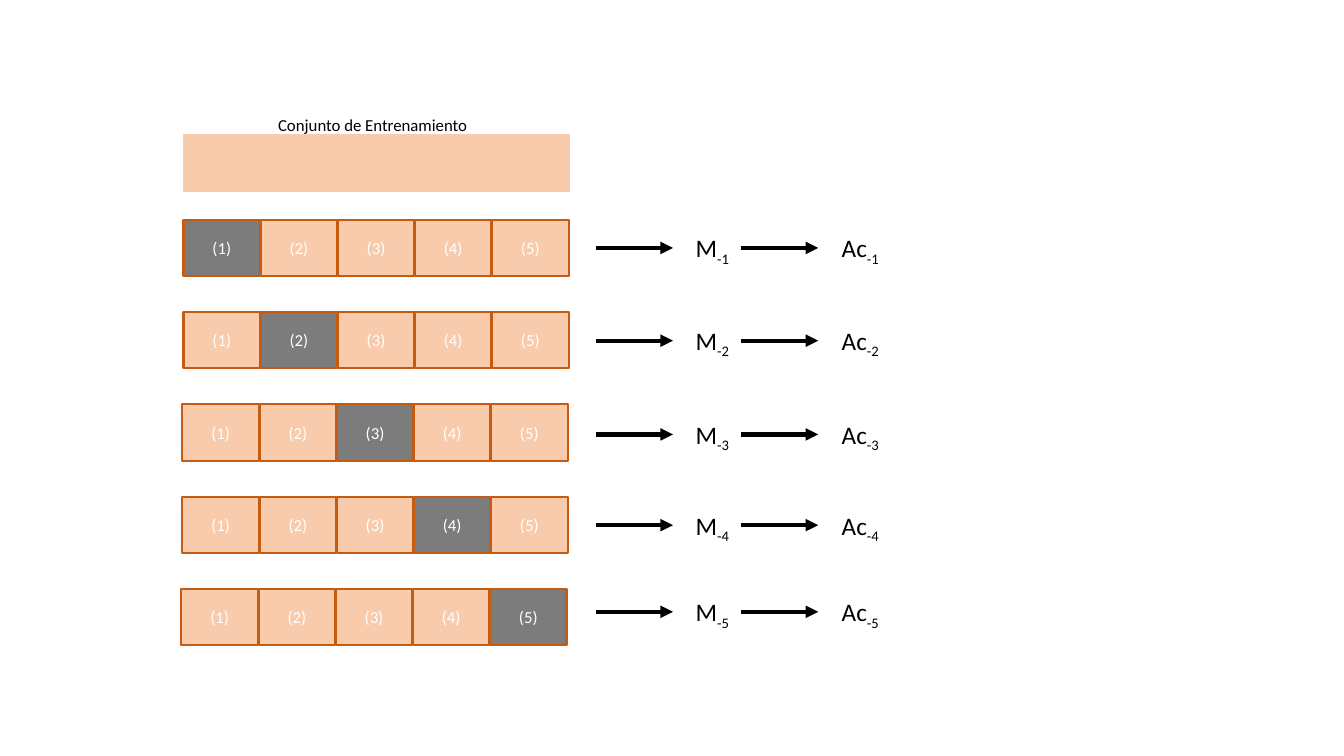
from lxml import etree
from pptx import Presentation, util as u
from pptx.dml.color import RGBColor
from pptx.enum import shapes, text
from pptx.oxml.ns import qn

TITLE = "Conjunto de Entrenamiento"
FOLDS = 5
STEMS = [("M", 5.91, 6.8, 0.55), ("Ac", 7.35, 8.25, 0.59)]
LEFTS = [1.82, 1.82, 1.81, 1.81, 1.8]
MIDS = [2.46, 3.38, 4.31, 5.21, 6.07]
TOP, PITCH = 2.18, 0.916
STEP, WIDE, HIGH = 0.765, 0.76, 0.56
REACH = 0.765

PEACH = RGBColor(0xF8, 0xCB, 0xAD)
GREY = RGBColor(0x7C, 0x7C, 0x7C)
RUST = RGBColor(0xC5, 0x5A, 0x11)
WHITE = RGBColor(0xFF, 0xFF, 0xFF)
BLACK = RGBColor(0, 0, 0)


def style(run, size, color):
    run.font.name = "Calibri"
    run.font.size = u.Pt(size)
    run.font.color.rgb = color


def add_box(slide, x, y, w, fill, edge, weight, label=""):
    box = slide.shapes.add_shape(
        shapes.MSO_SHAPE.RECTANGLE, *map(u.Inches, (x, y, w, HIGH)))
    box.shadow.inherit = False
    box.fill.solid()
    box.fill.fore_color.rgb = fill
    box.line.color.rgb = edge
    box.line.width = u.Pt(weight)
    if label:
        frame = box.text_frame
        frame.text = label
        frame.vertical_anchor = text.MSO_ANCHOR.MIDDLE
        frame.paragraphs[0].alignment = text.PP_ALIGN.CENTER
        style(frame.paragraphs[0].runs[0], 12, WHITE)


def add_label(slide, x, y, w, h, size, words, sub=""):
    frame = slide.shapes.add_textbox(
        *map(u.Inches, (x, y, w, h))).text_frame
    frame.word_wrap = False
    frame.auto_size = text.MSO_AUTO_SIZE.SHAPE_TO_FIT_TEXT
    frame.text = words
    para = frame.paragraphs[0]
    style(para.runs[0], size, BLACK)
    if sub:
        run = para.add_run()
        run.text = sub
        style(run, size, BLACK)
        run.font._element.set("baseline", "-25000")


def add_arrow(slide, x, y):
    line = slide.shapes.add_connector(
        shapes.MSO_CONNECTOR.STRAIGHT,
        *map(u.Inches, (x, y, x + REACH, y)))
    line.line.color.rgb = BLACK
    line.line.width = u.Pt(3)
    etree.SubElement(line.line._get_or_add_ln(), qn("a:tailEnd"), type="triangle")
    etree.SubElement(line._element.spPr, qn("a:effectLst"))


def main():
    deck = Presentation()
    deck.slide_width, deck.slide_height = u.Inches(13.33), u.Inches(7.5)
    slide = deck.slides.add_slide(deck.slide_layouts[6])
    add_box(slide, LEFTS[0], 1.34, FOLDS * STEP, PEACH, PEACH, 1)
    add_label(slide, 2.66, 1.09, 2.1, 0.3, 12, TITLE)
    for row, (left, mid) in enumerate(zip(LEFTS, MIDS)):
        for col in range(FOLDS):
            fill = GREY if col == row else PEACH
            add_box(slide, left + col * STEP, TOP + row * PITCH, WIDE,
                    fill, RUST, 1.5, f"({col + 1})")
        for stem, start, x, w in STEMS:
            add_arrow(slide, start, mid)
            add_label(slide, x, mid - 0.2, w, 0.4, 18, stem, f"-{row + 1}")
    deck.save("out.pptx")


if __name__ == "__main__":
    main()
